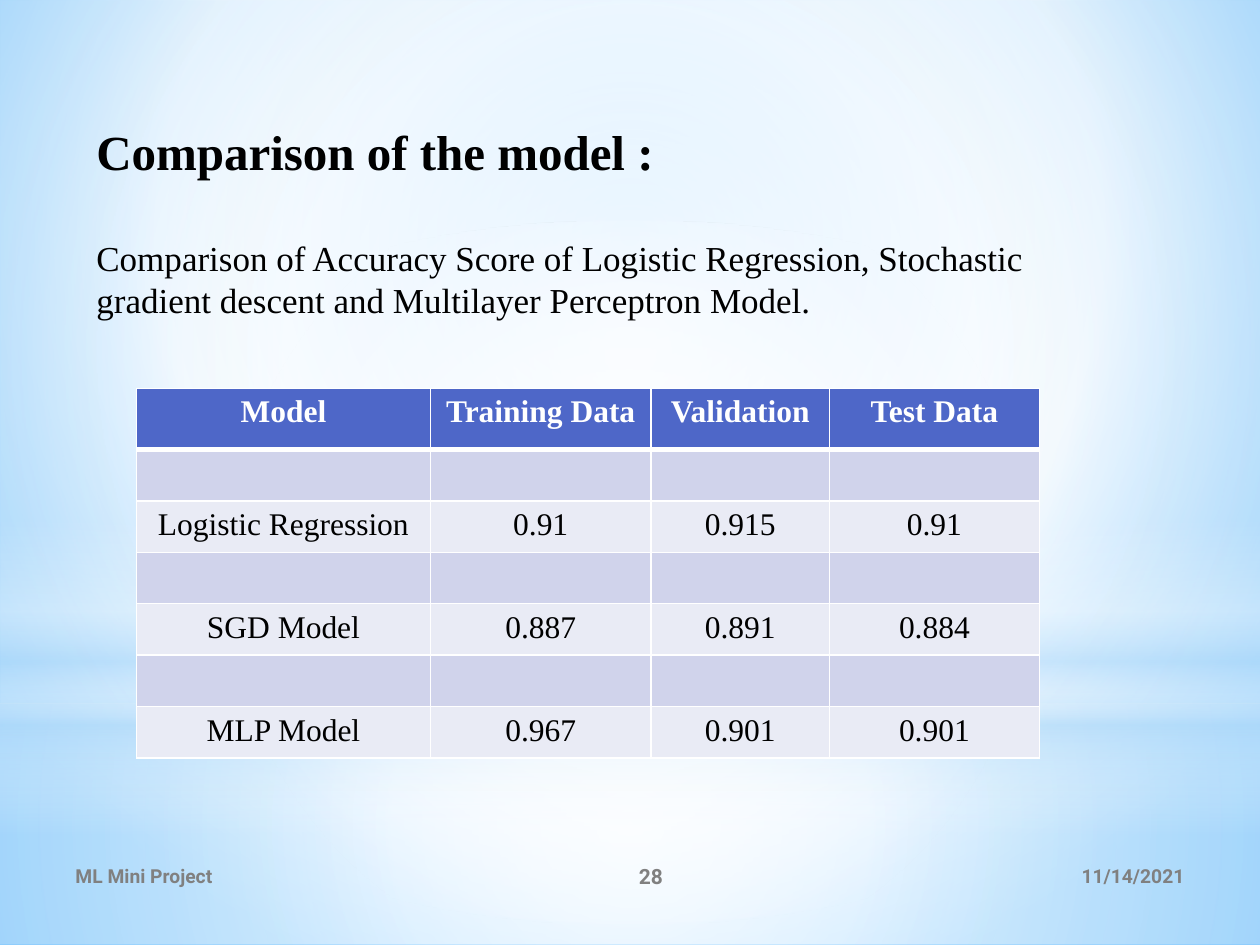
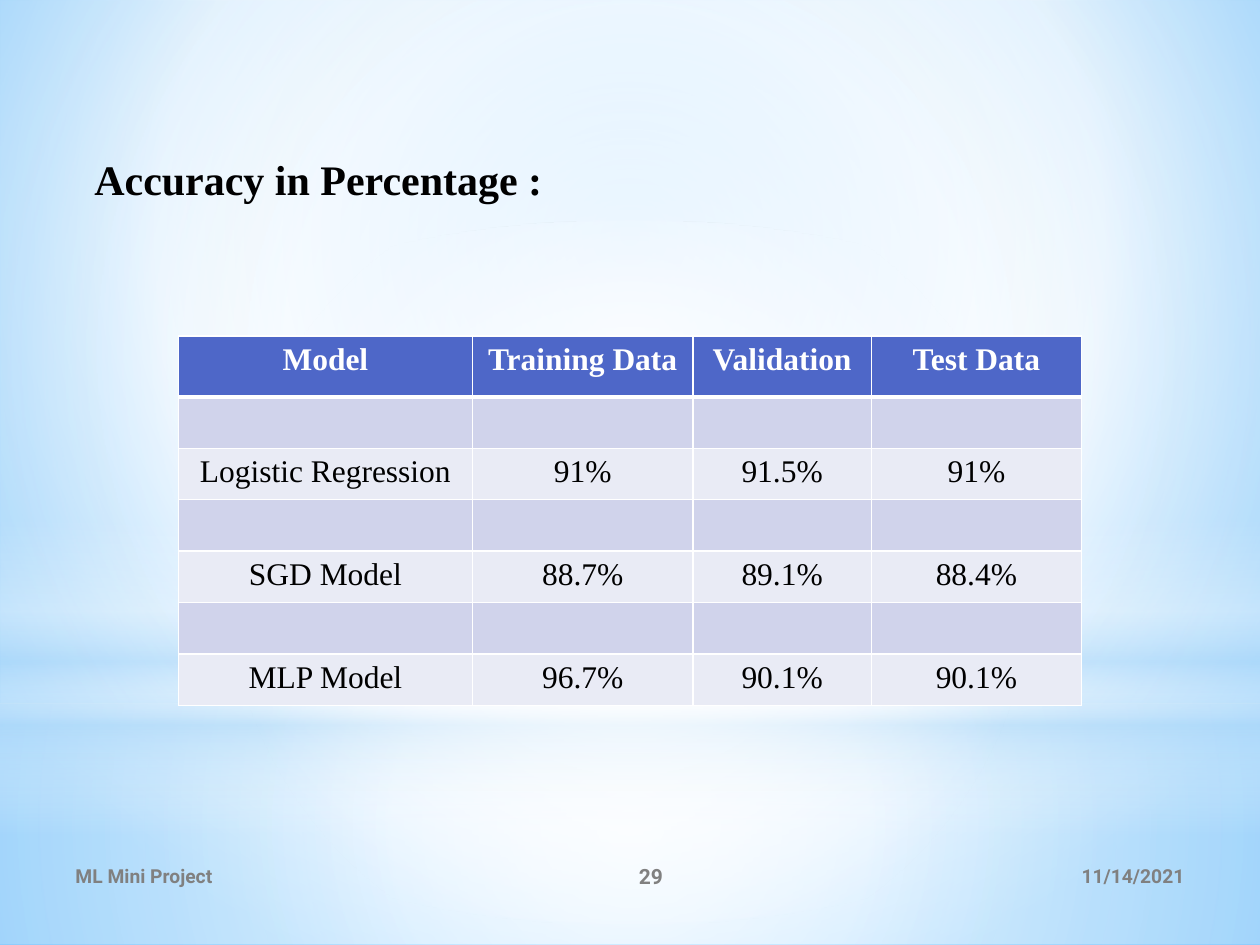
from pptx import Presentation
from pptx.dml.color import RGBColor
from pptx.enum.shapes import MSO_SHAPE
from pptx.enum.text import MSO_ANCHOR, PP_ALIGN
from pptx.oxml import parse_xml
from pptx.oxml.ns import nsdecls
from pptx.util import Pt

PX = 7620  # 120 px to the inch

WHITE = RGBColor(0xFF, 0xFF, 0xFF)
BLACK = RGBColor(0x00, 0x00, 0x00)
GREY = RGBColor(0x80, 0x80, 0x80)
SKY = RGBColor(0x9E, 0xD5, 0xFF)
AZURE = RGBColor(0x5B, 0xB9, 0xFF)
MIST = RGBColor(0xB4, 0xDC, 0xFA)
INDIGO = RGBColor(0x4E, 0x67, 0xC8)
LILAC = RGBColor(0xD0, 0xD3, 0xEB)
PALE = RGBColor(0xE9, 0xEB, 0xF5)

SERIF = "Times New Roman"
SANS = "Roboto"

CENTRE = (50, 50, 50, 50)
BANDS = [
    (MSO_SHAPE.RECTANGLE, 670, 230, CENTRE,
     [(0, WHITE, 91), (37, WHITE, 76), (100, MIST, 79)]),
    (MSO_SHAPE.RECTANGLE, 0, 670, CENTRE,
     [(0, WHITE, 89), (48, WHITE, 62), (100, MIST, 79)]),
    (MSO_SHAPE.RECTANGLE, 495, 300, None,
     [(0, WHITE, 0), (29, WHITE, 30), (45, MIST, 40),
      (55, WHITE, 26), (65, MIST, 60), (100, WHITE, 0)]),
    (MSO_SHAPE.OVAL, 210, 670, CENTRE,
     [(0, WHITE, 100), (56, WHITE, 0)]),
]

HEAD = ["Model", "Training Data", "Validation", "Test Data"]
COLS = [280, 210, 170, 200]
HEAD_ROW, ROW = 58, 49

# Text lines are (wording, size, bold, space before in points).
PAGES = [
    {"number": "28", "box": (80, 110, 1020, 206), "table": (130, 370),
     "lines": [("Comparison of the model :", 28, True, 0),
               ("Comparison of Accuracy Score of Logistic Regression, Stochastic "
                "gradient descent and Multilayer Perceptron Model.", 20, False, 32)],
     "scores": [["Logistic Regression", "0.91", "0.915", "0.91"],
                ["SGD Model", "0.887", "0.891", "0.884"],
                ["MLP Model", "0.967", "0.901", "0.901"]]},
    {"number": "29", "box": (78, 140, 1000, 60), "table": (170, 320),
     "lines": [("Accuracy in Percentage :", 24, True, 0)],
     "scores": [["Logistic Regression", "91%", "91.5%", "91%"],
                ["SGD Model", "88.7%", "89.1%", "88.4%"],
                ["MLP Model", "96.7%", "90.1%", "90.1%"]]},
]


def gradient(stops, focus):
    """Return a gradFill: circular around the focus insets, or top-down without one."""
    marks = "".join(
        f'<a:gs pos="{pos * 1000}"><a:srgbClr val="{tint}">'
        f'<a:alpha val="{alpha * 1000}"/></a:srgbClr></a:gs>'
        for pos, tint, alpha in stops)
    shade = '<a:lin ang="5400000" scaled="0"/>'
    if focus:
        sides = " ".join(f'{side}="{inset * 1000}"' for side, inset in zip("ltrb", focus))
        shade = f'<a:path path="circle"><a:fillToRect {sides}/></a:path>'
    return parse_xml(f'<a:gradFill {nsdecls("a")} rotWithShape="1">'
                     f'<a:gsLst>{marks}</a:gsLst>{shade}</a:gradFill>')


def style(para, face, size, tint, bold, align):
    para.alignment = align
    for run in para.runs:
        run.font.name = face
        run.font.size = Pt(size)
        run.font.color.rgb = tint
        run.font.bold = bold


deck = Presentation()
deck.slide_width = 1200 * PX
deck.slide_height = 900 * PX

master = deck.slide_master
master.background.fill.solid()
ground = master.element.cSld.find("{*}bg/{*}bgPr")
ground.replace(ground.find("{*}solidFill"), gradient(
    [(0, SKY, 100), (60, WHITE, 100), (100, AZURE, 100)], (20, 10, 20, 60)))

for page in PAGES:
    slide = deck.slides.add_slide(deck.slide_layouts[6])
    shapes = slide.shapes

    for kind, top, height, focus, stops in BANDS:
        band = shapes.add_shape(kind, 0, top * PX, 1200 * PX, height * PX)
        band.shadow.inherit = False
        band.line.fill.background()
        band.fill.solid()
        props = band.element.spPr
        props.replace(props.find("{*}solidFill"), gradient(stops, focus))

    for words, left, width, size, align in [
            ("11/14/2021", 810, 330, 11, PP_ALIGN.RIGHT),
            ("ML Mini Project", 60, 440, 11, PP_ALIGN.LEFT),
            (page["number"], 500, 240, 12, PP_ALIGN.CENTER)]:
        frame = shapes.add_textbox(left * PX, 810 * PX, width * PX, 48 * PX).text_frame
        frame.word_wrap = True
        frame.vertical_anchor = MSO_ANCHOR.MIDDLE
        frame.text = words
        style(frame.paragraphs[0], SANS, size, GREY, True, align)

    frame = shapes.add_textbox(*(side * PX for side in page["box"])).text_frame
    frame.word_wrap = True
    frame.text = "\n".join(line[0] for line in page["lines"])
    for para, (words, size, bold, gap) in zip(frame.paragraphs, page["lines"]):
        style(para, SERIF, size, BLACK, bold, PP_ALIGN.LEFT)
        para.space_before = Pt(gap)

    rows = [HEAD]
    for score in page["scores"]:
        rows += [[""] * len(COLS), score]
    left, top = page["table"]
    height = HEAD_ROW + ROW * (len(rows) - 1)
    table = shapes.add_table(len(rows), len(COLS), left * PX, top * PX,
                             sum(COLS) * PX, height * PX).table
    table.horz_banding = False
    for col, width in zip(table.columns, COLS):
        col.width = width * PX

    for r, row in enumerate(rows):
        table.rows[r].height = (ROW if r else HEAD_ROW) * PX
        for c, words in enumerate(row):
            cell = table.cell(r, c)
            cell.text = words
            style(cell.text_frame.paragraphs[0], SERIF, 18,
                  BLACK if r else WHITE, r == 0, PP_ALIGN.CENTER)
            cell.fill.solid()
            cell.fill.fore_color.rgb = (LILAC if r % 2 else PALE) if r else INDIGO
            props = cell._tc.get_or_add_tcPr()
            for i, side in enumerate("LRTB"):
                thick = 3 if (r, side) in [(0, "B"), (1, "T")] else 1
                props.insert(i, parse_xml(
                    f'<a:ln{side} {nsdecls("a")} w="{Pt(thick)}"><a:solidFill>'
                    f'<a:srgbClr val="{WHITE}"/></a:solidFill></a:ln{side}>'))

deck.save("out.pptx")
